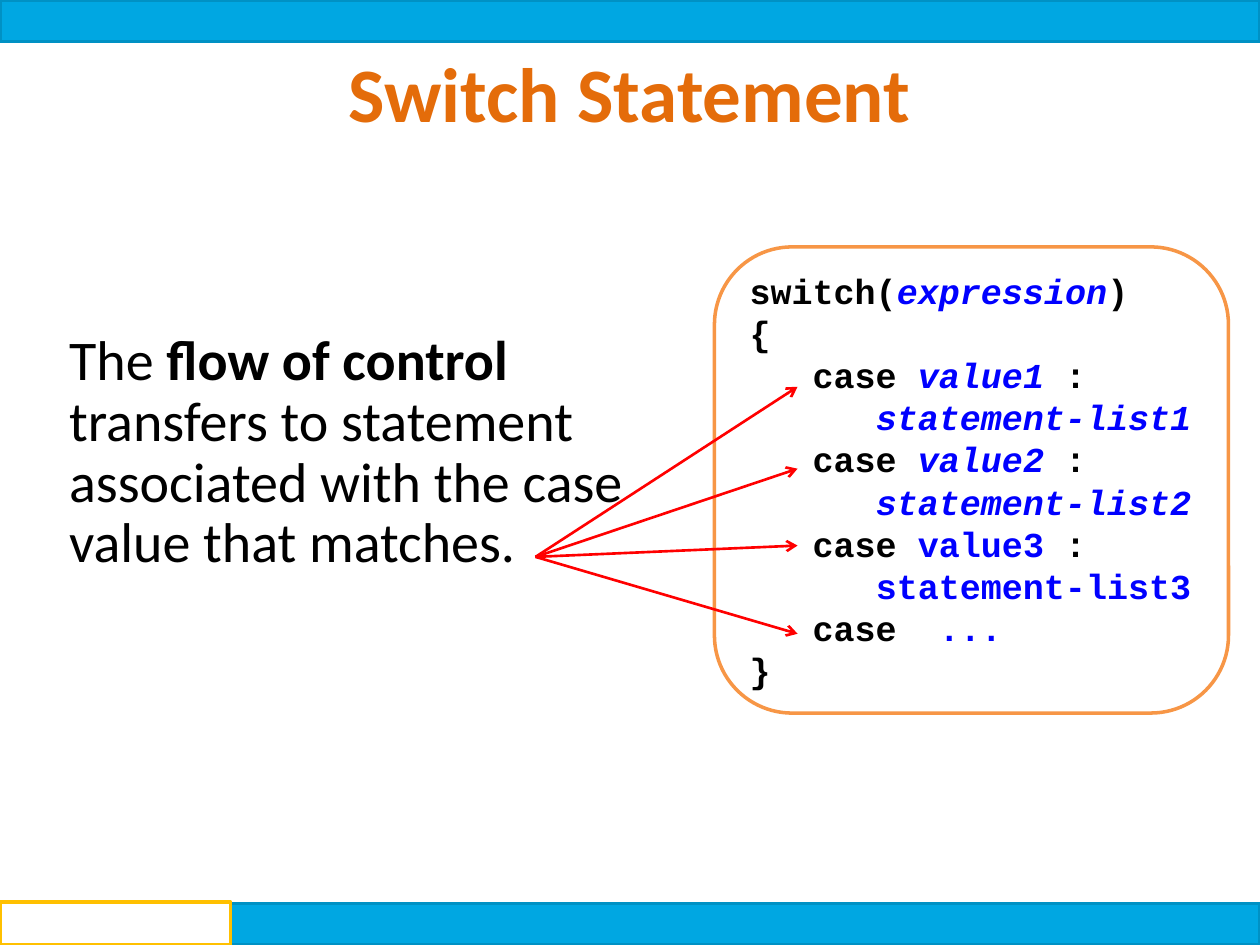
from lxml import etree
from pptx import Presentation
from pptx.dml.color import RGBColor
from pptx.enum import shapes, text
from pptx.oxml.ns import qn
from pptx.util import Inches, Pt

COLORS = {
    "band": "00A7E2", "band_edge": "0091C4", "white": "FFFFFF", "gold": "FFC000",
    "title": "E46C0A", "frame": "F79646", "ink": "000000", "blue": "0000FF", "arrow": "FF0000",
}


def rgb(name):
    return RGBColor.from_string(COLORS[name])


class SlideStyle:
    body_font = "Calibri"
    code_font = "Courier New"

    def __init__(self, slide):
        self.slide = slide

    def panel(self, box, edge, width=2, fill=None, kind=shapes.MSO_SHAPE.RECTANGLE):
        panel = self.slide.shapes.add_shape(kind, *map(Inches, box))
        panel.shadow.inherit = False
        if fill:
            panel.fill.solid()
            panel.fill.fore_color.rgb = rgb(fill)
        else:
            panel.fill.background()
        panel.line.color.rgb = rgb(edge)
        panel.line.width = Pt(width)
        return panel

    def run(self, paragraph, wording, size, font, color="ink", bold=False, italic=False):
        run = paragraph.add_run()
        run.text = wording
        run.font.name = font
        run.font.size = Pt(size)
        run.font.bold = bold
        run.font.italic = italic
        run.font.color.rgb = rgb(color)

    def words(self, box, pieces, size, color="ink", align=text.PP_ALIGN.LEFT, spacing=1.0):
        frame = self.slide.shapes.add_textbox(*map(Inches, box)).text_frame
        frame.word_wrap = True
        paragraph = frame.paragraphs[0]
        paragraph.alignment = align
        paragraph.line_spacing = spacing
        for wording, bold in pieces:
            self.run(paragraph, wording, size, self.body_font, color, bold)

    def code(self, box, lines):
        panel = self.panel(box, "frame", kind=shapes.MSO_SHAPE.ROUNDED_RECTANGLE)
        frame = panel.text_frame
        frame.word_wrap = True
        frame.vertical_anchor = text.MSO_ANCHOR.MIDDLE
        for number, pieces in enumerate(lines):
            paragraph = frame.add_paragraph() if number else frame.paragraphs[0]
            paragraph.alignment = text.PP_ALIGN.LEFT
            for wording, color, italic in pieces:
                self.run(paragraph, wording, 20, self.code_font, color, True, italic)

    def arrow(self, start, end):
        arrow = self.slide.shapes.add_connector(
            shapes.MSO_CONNECTOR.STRAIGHT, *map(Inches, start + end))
        arrow.line.color.rgb = rgb("arrow")
        arrow.line.width = Pt(1.5)
        etree.SubElement(arrow.line._get_or_add_ln(), qn("a:tailEnd"), type="arrow")
        etree.SubElement(arrow._element.spPr, qn("a:effectLst"))


def plain(wording):
    return wording, "ink", False


def slot(wording, italic=True):
    return wording, "blue", italic


def main():
    deck = Presentation()
    deck.slide_width, deck.slide_height = Inches(10), Inches(7.5)
    style = SlideStyle(deck.slides.add_slide(deck.slide_layouts[6]))

    style.panel((0, 0, 10, 0.33), "band_edge", fill="band")
    style.words((0.25, 0.31, 9.5, 0.84), [("Switch Statement", True)], 44,
                "title", text.PP_ALIGN.CENTER)

    switch_code = [[plain("switch("), slot("expression"), plain(")")], [plain("{")]]
    for number, italic in ((1, True), (2, True), (3, False)):
        switch_code += [
            [plain("   case "), slot(f"value{number} ", italic), plain(":")],
            [plain("      "), slot(f"statement-list{number}", italic)],
        ]
    switch_code += [[plain("   case  "), slot("...", False)], [plain("}")]]
    style.code((5.67, 1.96, 4.08, 3.7), switch_code)

    style.words((0.45, 2.59, 4.75, 2.95), [
        ("The ", False),
        ("flow of control ", True),
        ("transfers to statement associated with the case value that matches.", False),
    ], 32, spacing=0.9)

    style.panel((0, 7.17, 10, 0.33), "band_edge", fill="band")
    style.panel((0, 7.16, 1.83, 0.34), "gold", 2.25, "white")

    for case_y in (3.07, 3.72, 4.33, 5.03):
        style.arrow((4.25, 4.42), (6.33, case_y))

    deck.save("out.pptx")


if __name__ == "__main__":
    main()
